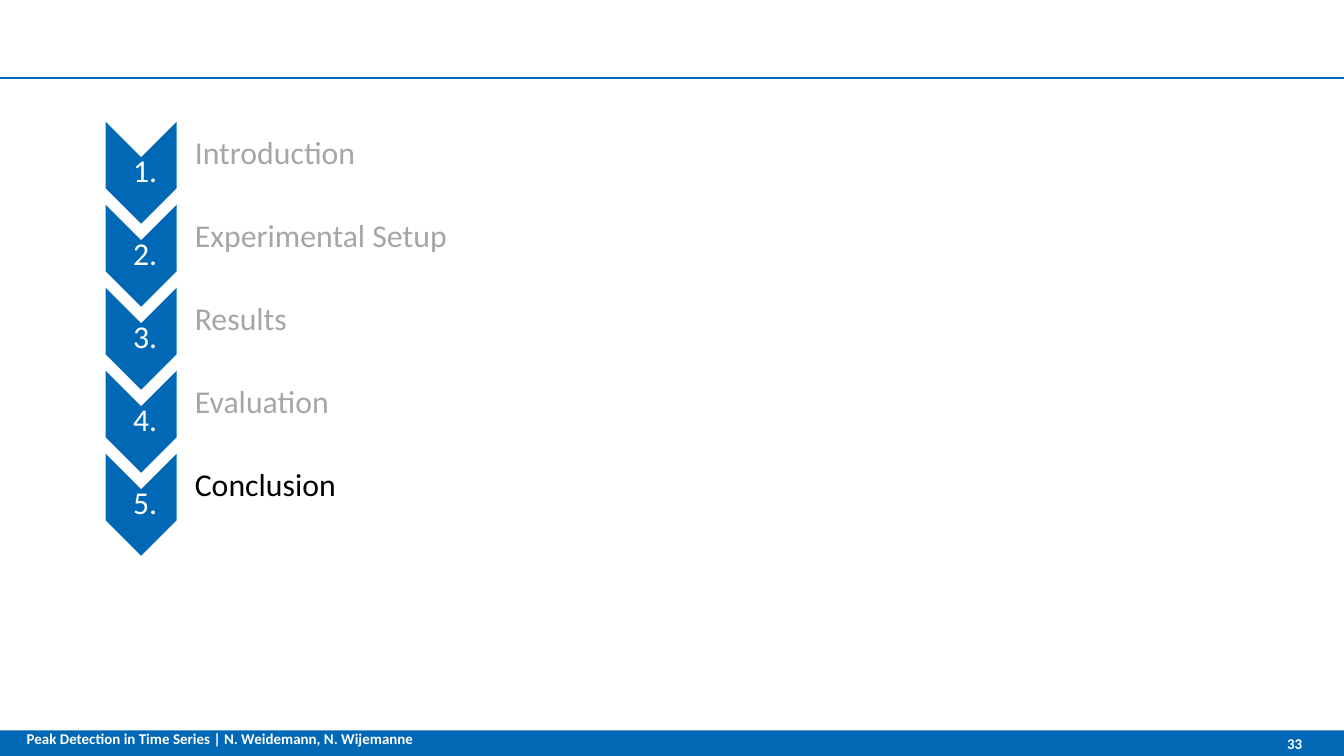
from lxml.etree import SubElement
from pptx import Presentation
from pptx.dml.color import RGBColor
from pptx.enum.shapes import MSO_CONNECTOR, MSO_SHAPE
from pptx.enum.text import MSO_ANCHOR, PP_ALIGN
from pptx.oxml.ns import qn
from pptx.util import Inches, Pt

BLUE = RGBColor(0x00, 0x68, 0xB4)
WHITE = RGBColor(0xFF, 0xFF, 0xFF)
GRAY = RGBColor(0xA6, 0xA6, 0xA6)
BLACK = RGBColor(0x00, 0x00, 0x00)

SLIDE_WIDTH = 10
SLIDE_HEIGHT = SLIDE_WIDTH * 9 / 16
FOOTER_HEIGHT = 0.19
FOOTER_TOP = SLIDE_HEIGHT - FOOTER_HEIGHT
RULE_TOP = 0.58
SECTIONS = ["Introduction", "Experimental Setup", "Results", "Evaluation", "Conclusion"]
CURRENT_SECTION = "Conclusion"
FIRST_ROW, LAST_ROW = 0.93, 3.4
ROW_PITCH = (LAST_ROW - FIRST_ROW) / (len(SECTIONS) - 1)


def add_filled_shape(slide, kind, left, top, width, height):
    """Add a blue preset shape without outline or shadow."""
    shape = slide.shapes.add_shape(
        kind, Inches(left), Inches(top), Inches(width), Inches(height))
    shape.shadow.inherit = False
    shape.fill.solid()
    shape.fill.fore_color.rgb = BLUE
    shape.line.fill.background()
    return shape


def add_text(slide, text, box, insets, size, color, bold=False,
             align=PP_ALIGN.LEFT, anchor=MSO_ANCHOR.MIDDLE, line_spacing=1.0):
    """Add a one-paragraph text box; box and insets are in inches."""
    frame = slide.shapes.add_textbox(*map(Inches, box)).text_frame
    frame.word_wrap = True
    frame.vertical_anchor = anchor
    (frame.margin_left, frame.margin_top,
     frame.margin_right, frame.margin_bottom) = map(Inches, insets)
    paragraph = frame.paragraphs[0]
    paragraph.text = text
    paragraph.alignment = align
    paragraph.line_spacing = line_spacing
    font = paragraph.font
    font.name, font.size, font.bold = "Calibri", Pt(size), bold
    font.color.rgb = color


def add_rule(slide, top):
    """Draw the blue header line across the slide."""
    rule = slide.shapes.add_connector(
        MSO_CONNECTOR.STRAIGHT, Inches(SLIDE_WIDTH), Inches(top), 0, Inches(top))
    rule.line.color.rgb = BLUE
    rule.line.width = Pt(1.5)
    SubElement(rule._element.spPr, qn("a:effectLst"))


def add_section(slide, index, name):
    """Add one agenda row: a numbered chevron and the section name."""
    top = FIRST_ROW + index * ROW_PITCH
    chevron = add_filled_shape(slide, MSO_SHAPE.CHEVRON, 0.67, top + 0.09, 0.76, 0.53)
    chevron.rotation = 90
    add_text(slide, f"{index + 1}.", (0.79, top + 0.24, 0.53, 0.23),
             (0.06, 0.01, 0.01, 0.01), 17, WHITE,
             align=PP_ALIGN.CENTER, line_spacing=0.9)
    color = BLACK if name == CURRENT_SECTION else GRAY
    add_text(slide, name, (1.32, top, 7.87, 0.44),
             (0.13, 0.01, 0.01, 0.01), 17, color, line_spacing=0.9)


def add_footer(slide):
    """Add the talk title and slide number to the footer bar."""
    add_text(slide, "Peak Detection in Time Series | N. Weidemann, N. Wijemanne",
             (0.1, 5.36, 4.34, 0.34), (0.1, 0.1, 0.1, 0.1), 8, WHITE,
             bold=True, anchor=MSO_ANCHOR.TOP)
    add_text(slide, "33", (8.75, FOOTER_TOP, 0.94, FOOTER_HEIGHT),
             (0.1, 0.05, 0, 0.05), 8, WHITE, bold=True, align=PP_ALIGN.RIGHT)


def main():
    """Build the agenda slide and save it."""
    presentation = Presentation()
    presentation.slide_width = Inches(SLIDE_WIDTH)
    presentation.slide_height = Inches(SLIDE_HEIGHT)
    slide = presentation.slides.add_slide(presentation.slide_layouts[6])
    add_filled_shape(slide, MSO_SHAPE.RECTANGLE,
                     0, FOOTER_TOP, SLIDE_WIDTH, FOOTER_HEIGHT)
    for index, name in enumerate(SECTIONS):
        add_section(slide, index, name)
    add_rule(slide, RULE_TOP)
    add_footer(slide)
    presentation.save("out.pptx")


if __name__ == "__main__":
    main()
